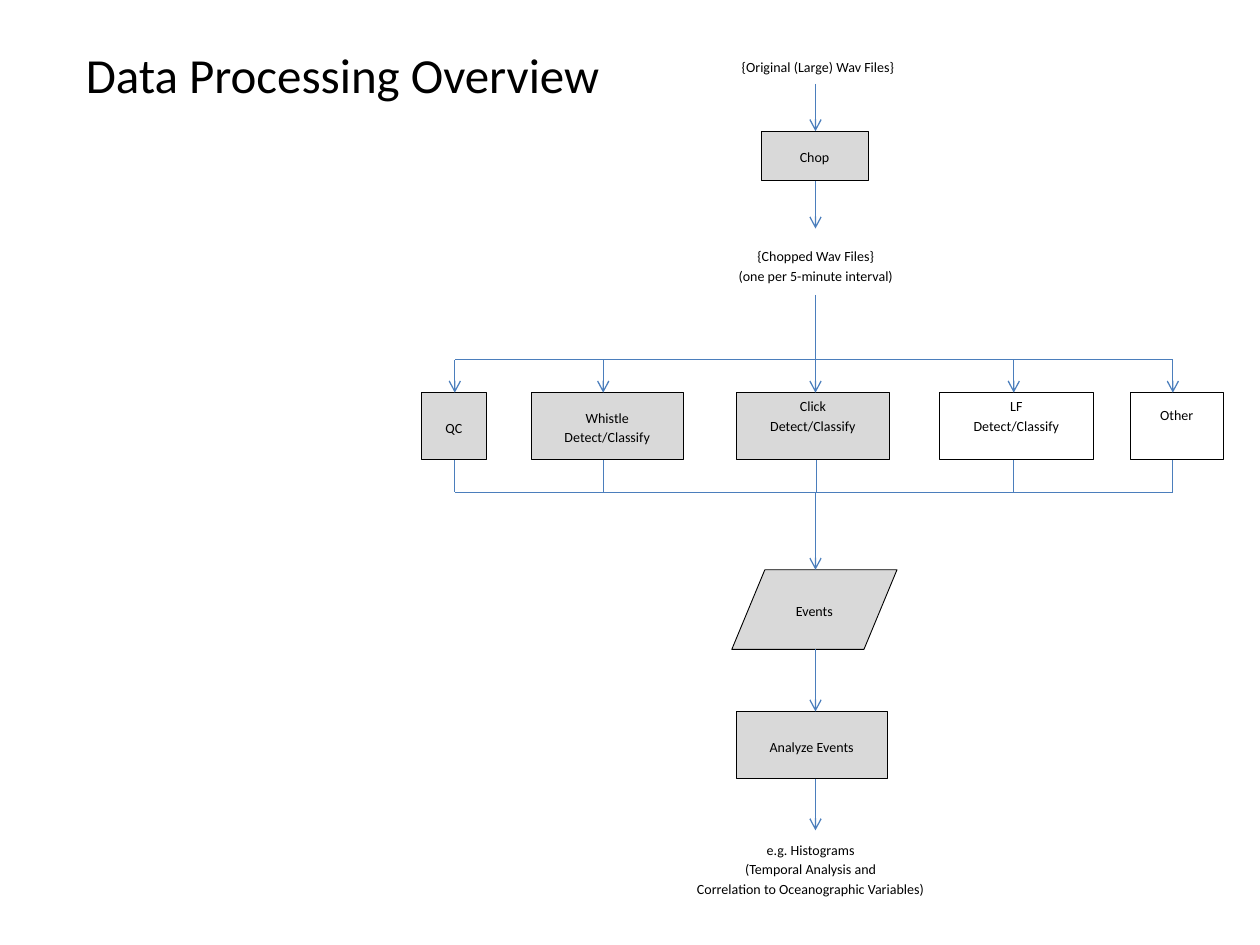
from lxml.etree import SubElement
from pptx import Presentation
from pptx.dml.color import RGBColor
from pptx.enum.shapes import MSO_CONNECTOR as Connector, MSO_SHAPE as Shape
from pptx.enum.text import MSO_ANCHOR as Anchor, PP_ALIGN as Align
from pptx.oxml.ns import qn
from pptx.util import Pt

FONT = "Calibri"
COLORS = {"text": "000000", "done": "D9D9D9", "plain": "FFFFFF",
          "edge": "000000", "flow": "4B7EBC"}

TITLE = "Data Processing Overview"

NOTES = [
    (["{Original (Large) Wav Files}"], 398, 23.8, 139, 28),
    (["{Chopped Wav Files}", "(one per 5-minute interval)"], 392.4, 131, 147.6, 40.4),
    (["e.g. Histograms", "(Temporal Analysis and",
      "Correlation to Oceanographic Variables)"], 365, 474.5, 196.6, 43.2),
]

STEPS = [
    (["Chop"], Shape.RECTANGLE, 434.9, 75, 61.2, 28.4),
    (["Events"], Shape.FLOWCHART_DATA, 418.2, 325.6, 94.4, 45.5),
    (["Analyze Events"], Shape.RECTANGLE, 420.7, 406.6, 86.4, 38.4),
]

DETECTORS = [
    (["QC"], "done", 240.7, 37.4, 259.9, None),
    (["Whistle", "Detect/Classify"], "done", 303.6, 86.9, 344.7, None),
    (["Click", "Detect/Classify"], "done", 420.8, 87.5, 466.5, 1.5),
    (["LF", "Detect/Classify"], "plain", 536.9, 87.8, 579.3, 1.5),
    (["Other"], "plain", 645.8, 53.3, 670.2, 6.2),
]
ROW_TOP, ROW_HEIGHT = 224.4, 38.4
SPLIT_Y, JOIN_Y = 205.6, 281.3
TRUNK = 466

TRUNK_ARROWS = [(48, 75), (103.4, 130.6), (SPLIT_Y, ROW_TOP),
                (JOIN_Y, 325.6), (371.1, 406.6), (445, 474.5)]


def color(name):
    return RGBColor.from_string(COLORS[name])


def add_box(page, lines, kind, left, top, width, height, fill, edge=True, top_inset=None):
    box = page.shapes.add_shape(kind, Pt(left), Pt(top), Pt(width), Pt(height))
    box.shadow.inherit = False
    box.fill.solid()
    box.fill.fore_color.rgb = color(fill)
    if edge:
        box.line.color.rgb = color("edge")
        box.line.width = Pt(0.5)
    else:
        box.line.fill.background()
    frame = box.text_frame
    frame.word_wrap = True
    frame.vertical_anchor = Anchor.MIDDLE
    if top_inset is not None:
        frame.vertical_anchor = Anchor.TOP
        frame.margin_top = Pt(top_inset)
    frame.text = "\n".join(lines)
    for para in frame.paragraphs:
        para.alignment = Align.CENTER
        para.line_spacing = 1.15
        for span in para.runs:
            span.font.name = FONT
            span.font.size = Pt(8)
            span.font.color.rgb = color("text")


def add_line(page, x1, y1, x2, y2, arrow=False):
    line = page.shapes.add_connector(Connector.STRAIGHT, Pt(x1), Pt(y1), Pt(x2), Pt(y2))
    line.line.color.rgb = color("flow")
    line.line.width = Pt(0.75)
    if arrow:
        SubElement(line.line._get_or_add_ln(), qn("a:tailEnd"), type="arrow")
    SubElement(line._element.spPr, qn("a:effectLst"))


def add_title(page):
    title = page.shapes.title
    title.left, title.top, title.width, title.height = Pt(41.8), Pt(18), Pt(624), Pt(48.2)
    frame = title.text_frame
    frame.text = TITLE
    frame.word_wrap = True
    frame.vertical_anchor = Anchor.MIDDLE
    para = frame.paragraphs[0]
    para.alignment = Align.LEFT
    span = para.runs[0]
    span.font.name = FONT
    span.font.size = Pt(28)
    span.font.color.rgb = color("text")


def main():
    deck = Presentation()
    deck.slide_width, deck.slide_height = Pt(720), Pt(540)
    page = deck.slides.add_slide(deck.slide_layouts[0])
    subtitle = page.placeholders[1].element
    subtitle.getparent().remove(subtitle)
    add_title(page)

    for lines, *place in NOTES:
        add_box(page, lines, Shape.RECTANGLE, *place, "plain", edge=False)
    for lines, kind, *place in STEPS:
        add_box(page, lines, kind, *place, "done")
    for lines, fill, left, width, branch, inset in DETECTORS:
        add_box(page, lines, Shape.RECTANGLE, left, ROW_TOP, width, ROW_HEIGHT,
                fill, top_inset=inset)
        add_line(page, branch, ROW_TOP + ROW_HEIGHT, branch, JOIN_Y)
        if lines[0] != "Click":
            add_line(page, branch, SPLIT_Y, branch, ROW_TOP, arrow=True)

    first, last = DETECTORS[0][4], DETECTORS[-1][4]
    for y in (SPLIT_Y, JOIN_Y):
        add_line(page, last, y, first, y)
    add_line(page, TRUNK, 168.5, TRUNK, SPLIT_Y)
    for start, end in TRUNK_ARROWS:
        add_line(page, TRUNK, start, TRUNK, end, arrow=True)

    deck.save("out.pptx")


if __name__ == "__main__":
    main()
